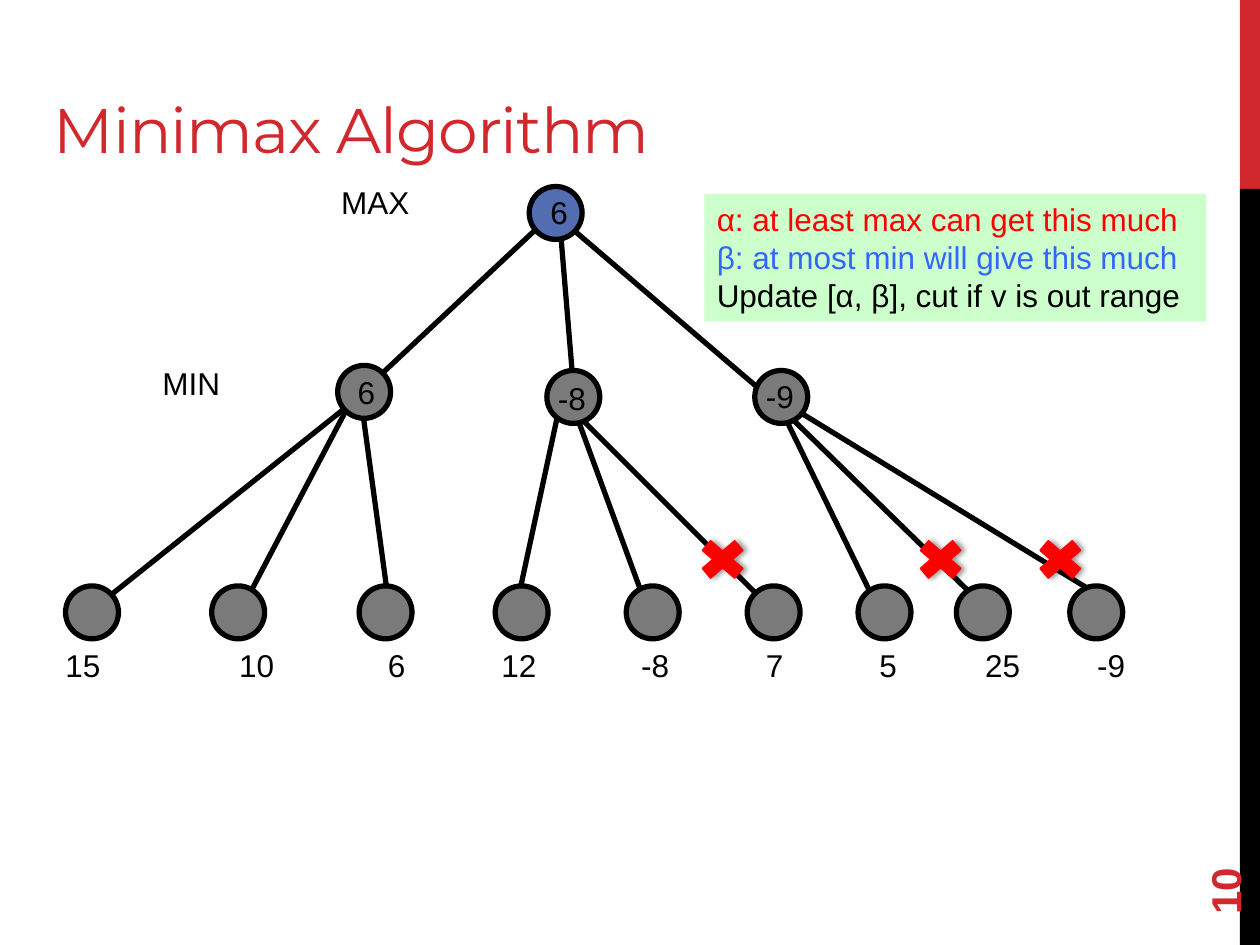
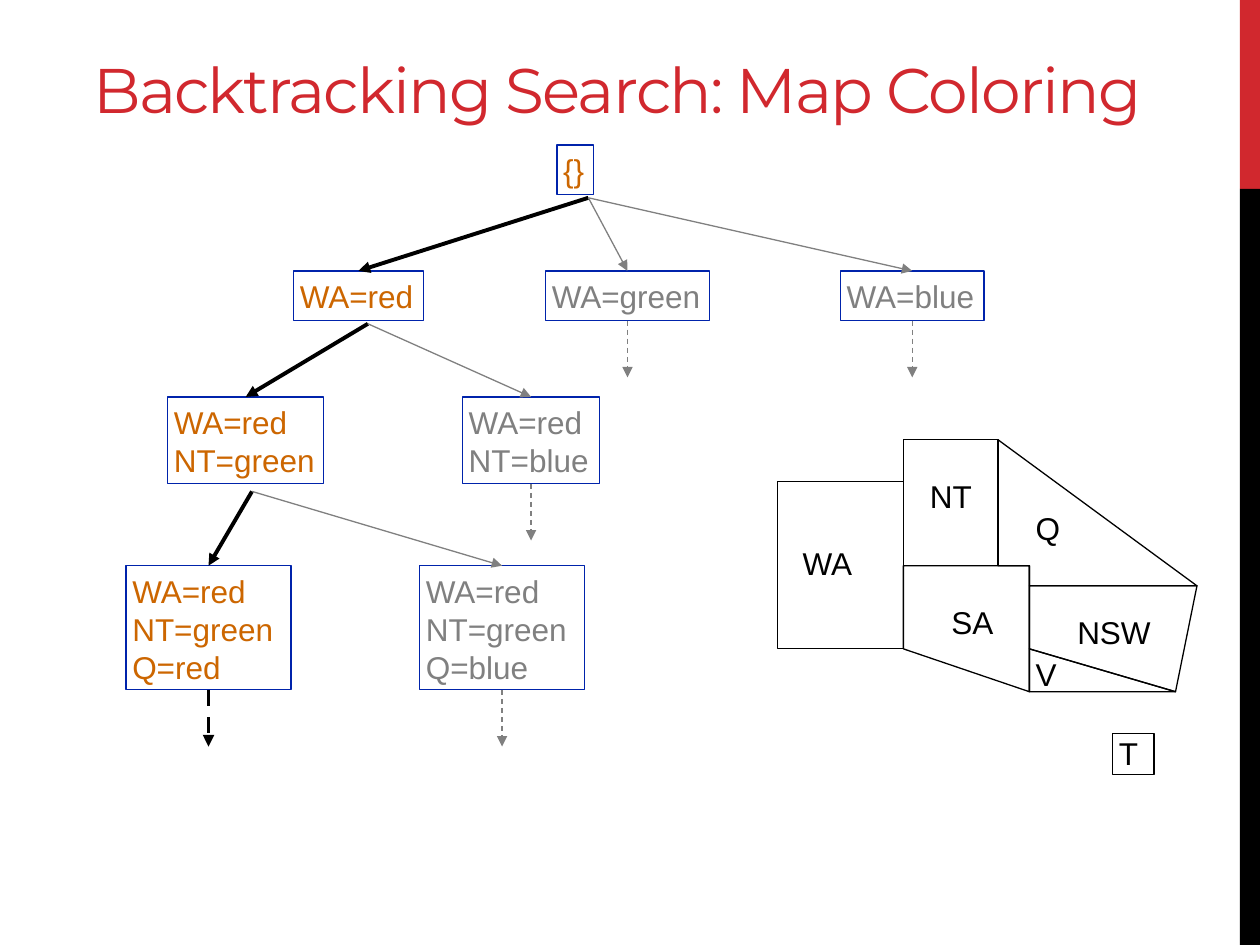
from lxml import etree
from pptx import Presentation
from pptx.dml.color import RGBColor
from pptx.enum.dml import MSO_LINE
from pptx.enum.shapes import MSO_CONNECTOR, MSO_SHAPE
from pptx.enum.text import MSO_ANCHOR, MSO_AUTO_SIZE, PP_ALIGN
from pptx.oxml import parse_xml
from pptx.oxml.ns import nsdecls, qn
from pptx.util import Inches, Pt

RED, BLACK, WHITE = "D1282E", "000000", "FFFFFF"
ROOT_BLUE, NODE_GRAY, CUT_RED = "526DB0", "7A7A7A", "FF0000"
BOX_BLUE, CHOSEN, OTHER = "0023AB", "CC6600", "808080"
NODE = 0.42
ROW_1, ROW_2, ROW_3 = 2.15, 3.15, 4.49

TREE_EDGES = [
    (4.35, 1.73, 2.93, 3.06), (4.44, 1.73, 4.55, 3.06), (4.44, 1.73, 6.1, 3.15),
    (2.85, 3.15, 0.77, 4.81), (2.85, 3.06, 1.93, 4.81), (2.85, 3.06, 3.1, 4.9),
    (4.44, 3.23, 4.1, 4.81), (4.55, 3.23, 5.13, 4.81), (4.44, 3.15, 6.19, 4.9),
    (6.19, 3.23, 6.96, 4.81), (6.19, 3.23, 7.9, 4.9), (6.05, 3.09, 8.78, 4.76),
]
INNER_NODES = [
    (4.2, 1.48, ROOT_BLUE, "6", 4.27, 1.48, 0.34),
    (2.68, 2.9, NODE_GRAY, "6", 2.74, 2.91, 0.34),
    (4.34, 2.94, NODE_GRAY, "-8", 4.33, 2.96, 0.43),
    (5.99, 2.94, NODE_GRAY, "-9", 5.98, 2.94, 0.43),
]
LEAVES = [
    (0.52, "15", 0.42), (1.68, "10", 1.8), (2.85, "6", 2.98),
    (3.93, "12", 3.88), (4.97, "-8", 4.99), (5.93, "7", 5.98),
    (6.81, "5", 6.88), (7.59, "25", 7.72), (8.49, "-9", 8.61),
]
RULES = [
    ("α: at least max can get this much", CUT_RED),
    ("β: at most min will give this much", "3366FF"),
    ("Update [α, β], cut if v is out range", BLACK),
]
ASSIGNMENTS = {
    "start": (4.42, 1.15, 0.29, ["{}"], CHOSEN),
    "red": (2.33, ROW_1, 1.03, ["WA=red"], CHOSEN),
    "green": (4.33, ROW_1, 1.3, ["WA=green"], OTHER),
    "blue": (6.67, ROW_1, 1.14, ["WA=blue"], OTHER),
    "red green": (1.33, ROW_2, 1.24, ["WA=red", "NT=green"], CHOSEN),
    "red blue": (3.67, ROW_2, 1.09, ["WA=red", "NT=blue"], OTHER),
    "red green red": (1, ROW_3, 1.31, ["WA=red", "NT=green", "Q=red"], CHOSEN),
    "red green blue": (3.33, ROW_3, 1.31, ["WA=red", "NT=green", "Q=blue"], OTHER),
}
BRANCHES = [
    (4.67, 1.57, ["red", "green", "blue"]),
    (2.92, 2.57, ["red green", "red blue"]),
    (2, 3.9, ["red green red", "red green blue"]),
]
UNEXPANDED = ["red green red", "red blue", "green", "red green blue", "blue"]
MAP_RECTS = [(6.17, 3.82, 1, 1.33), (7.17, 3.49, 0.75, 1), (8.83, 5.82, 0.33, 0.33)]
MAP_OUTLINES = [
    [(7.17, 4.49), (8.17, 4.49), (8.17, 5.49), (7.17, 5.15)],
    [(7.92, 3.49), (9.5, 4.65), (8.17, 4.65), (8.17, 4.49), (7.92, 4.49)],
    [(8.17, 4.65), (8.17, 5.15), (9.33, 5.49), (9.5, 4.65)],
    [(8.17, 5.15), (8.17, 5.49), (9.33, 5.49)],
]
MAP_LABELS = [
    ("WA", 6.32, 4.27, 0.51), ("NT", 7.33, 3.74, 0.45), ("SA", 7.5, 4.74, 0.45),
    ("Q", 8.17, 3.99, 0.31), ("NSW", 8.5, 4.82, 0.7), ("V", 8.17, 5.15, 0.28),
    ("T", 8.83, 5.78, 0.27),
]


def rgb(color):
    """Turn a hex string into a colour."""
    return RGBColor.from_string(color)


def paint(sp, fill=None, line=None, width=0.75):
    """Set fill and outline, and drop the inherited shadow."""
    sp.shadow.inherit = False
    if fill:
        sp.fill.solid()
        sp.fill.fore_color.rgb = rgb(fill)
    else:
        sp.fill.background()
    if line:
        sp.line.color.rgb = rgb(line)
        sp.line.width = Pt(width)
    else:
        sp.line.fill.background()


def add_preset(s, kind, x, y, w, h, fill=None, line=None, width=0.75):
    """Add a painted preset shape."""
    sp = s.shapes.add_shape(kind, Inches(x), Inches(y), Inches(w), Inches(h))
    paint(sp, fill, line, width)
    return sp


def add_run(p, text, color, size=18, font="Arial", bold=False):
    """Add one formatted run to a paragraph."""
    r = p.add_run()
    r.text = text
    r.font.name = font
    r.font.size = Pt(size)
    r.font.bold = bold
    r.font.color.rgb = rgb(color)
    return r


def write_lines(sp, lines, inset=None, wrap=False):
    """Write (text, colour) lines from the top left of a shape that fits them."""
    tf = sp.text_frame
    tf.word_wrap = wrap
    tf.auto_size = MSO_AUTO_SIZE.SHAPE_TO_FIT_TEXT
    tf.vertical_anchor = MSO_ANCHOR.TOP
    if inset:
        tf.margin_left = tf.margin_right = Inches(inset)
        tf.margin_top = tf.margin_bottom = Inches(inset)
    for i, (text, color) in enumerate(lines):
        p = tf.add_paragraph() if i else tf.paragraphs[0]
        p.alignment = PP_ALIGN.LEFT
        add_run(p, text, color)


def add_text_box(s, x, y, w, h):
    """Add an empty text box."""
    return s.shapes.add_textbox(Inches(x), Inches(y), Inches(w), Inches(h))


def add_label(s, text, x, y, w, inset=None):
    """Add a one-line black label."""
    write_lines(add_text_box(s, x, y, w, 0.4), [(text, BLACK)], inset)


def add_line(s, x1, y1, x2, y2, color, width):
    """Add a straight connector without a shadow."""
    cx = s.shapes.add_connector(MSO_CONNECTOR.STRAIGHT, Inches(x1), Inches(y1),
                                Inches(x2), Inches(y2))
    cx.line.color.rgb = rgb(color)
    cx.line.width = Pt(width)
    etree.SubElement(cx._element.spPr, qn("a:effectLst"))
    return cx


def add_arrow(s, x1, y1, x2, y2, color):
    """Add an arrow, heavy on the chosen path and thin elsewhere."""
    chosen = color == CHOSEN
    cx = add_line(s, x1, y1, x2, y2, BLACK if chosen else OTHER, 2.25 if chosen else 0.75)
    etree.SubElement(cx.line._get_or_add_ln(), qn("a:tailEnd"), type="triangle")
    return cx


def add_node(s, x, y, fill=NODE_GRAY):
    """Add a round tree node."""
    add_preset(s, MSO_SHAPE.OVAL, x, y, NODE, NODE, fill, BLACK, 3)


def add_cut(s, x):
    """Add a red cross with a soft shadow over a pruned edge."""
    sp = add_preset(s, MSO_SHAPE.MATH_MULTIPLY, x, 4.23, 0.49, 0.42, CUT_RED, CUT_RED, 1)
    sp._element.spPr.find(qn("a:effectLst")).append(parse_xml(
        f'<a:outerShdw {nsdecls("a")} blurRad="{Pt(3.1)}" dist="{Pt(1.8)}" dir="0">'
        f'<a:srgbClr val="{BLACK}"><a:alpha val="40000"/></a:srgbClr></a:outerShdw>'))


def add_outline(s, points):
    """Add a closed unfilled polygon."""
    start, *rest = [(Inches(x), Inches(y)) for x, y in points]
    builder = s.shapes.build_freeform(*start)
    builder.add_line_segments(rest, close=True)
    paint(builder.convert_to_shape(), line=BLACK)


def add_title(s, text, x, y, w, align, spacing):
    """Add the slide title, standing on the bottom of its box."""
    tf = add_text_box(s, x, y, w, 1.25).text_frame
    tf.word_wrap = True
    tf.vertical_anchor = MSO_ANCHOR.BOTTOM
    p = tf.paragraphs[0]
    p.alignment = align
    r = add_run(p, text, RED, 36, "Montserrat")
    r.font._element.set("spc", str(spacing))


def add_slide_number(s, number):
    """Add the upright slide number beside the band."""
    sp = add_text_box(s, 9, 6.44, 1.44, 0.4)
    sp.rotation = 270
    tf = sp.text_frame
    tf.word_wrap = True
    tf.vertical_anchor = MSO_ANCHOR.MIDDLE
    add_run(tf.paragraphs[0], number, RED, 24, bold=True)


def new_slide(prs):
    """Add a blank slide with the red and black side band."""
    s = prs.slides.add_slide(prs.slide_layouts[6])
    add_preset(s, MSO_SHAPE.RECTANGLE, 9.84, 0, 0.16, 1.5, RED)
    add_preset(s, MSO_SHAPE.RECTANGLE, 9.84, 1.5, 0.16, 6, BLACK)
    return s


def build_minimax(prs):
    """Build the game tree with its pruned edges."""
    s = new_slide(prs)
    add_title(s, "Minimax Algorithm", 0.33, 0.12, 8.92, PP_ALIGN.LEFT, -60)
    add_slide_number(s, "10")
    add_label(s, "MAX", 2.61, 1.4, 0.98)
    add_label(s, "MIN", 1.19, 2.84, 0.85)
    for edge in TREE_EDGES:
        add_line(s, *edge, BLACK, 3)
    for x, y, fill, value, label_x, label_y, label_w in INNER_NODES:
        add_node(s, x, y, fill)
        add_label(s, value, label_x, label_y, label_w)
    for x, value, label_x in LEAVES:
        add_node(s, x, 4.65)
        add_label(s, value, label_x, 5.08, 0.48)
    for x in (5.49, 7.22, 8.17):
        add_cut(s, x)
    rules = add_preset(s, MSO_SHAPE.RECTANGLE, 5.59, 1.54, 3.98, 1.01, "CCFFCC")
    write_lines(rules, RULES, wrap=True)


def add_assignment(s, x, y, w, lines, color):
    """Add a framed box listing the variables assigned so far."""
    h = 0.1 + 0.295 * len(lines)
    sp = add_preset(s, MSO_SHAPE.RECTANGLE, x, y, w, h, WHITE, BOX_BLUE)
    write_lines(sp, [(line, color) for line in lines], 0.05)
    return sp


def build_map_coloring(prs):
    """Build the search tree and the map it colours."""
    s = new_slide(prs)
    add_title(s, "Backtracking Search: Map Coloring", 0, -0.2, 9.8, PP_ALIGN.CENTER, -100)
    boxes = {name: add_assignment(s, *box) for name, box in ASSIGNMENTS.items()}
    for rect in MAP_RECTS:
        add_preset(s, MSO_SHAPE.RECTANGLE, *rect, line=BLACK)
    for points in MAP_OUTLINES:
        add_outline(s, points)
    for label in MAP_LABELS:
        add_label(s, *label, inset=0.05)
    for x, y, children in BRANCHES:
        for name in children:
            left, top, w, _, color = ASSIGNMENTS[name]
            add_arrow(s, x, y, left + w / 2, top, color).end_connect(boxes[name], 0)
    for name in UNEXPANDED:
        left, top, w, lines, color = ASSIGNMENTS[name]
        x, bottom = left + w / 2, top + 0.1 + 0.295 * len(lines)
        cx = add_arrow(s, x, bottom, x, bottom + 0.45, color)
        cx.line.dash_style = MSO_LINE.DASH
        cx.begin_connect(boxes[name], 2)


def main():
    """Build and save the two slides."""
    prs = Presentation()
    prs.slide_width, prs.slide_height = Inches(10), Inches(7.5)
    build_minimax(prs)
    build_map_coloring(prs)
    prs.save("out.pptx")


if __name__ == "__main__":
    main()
